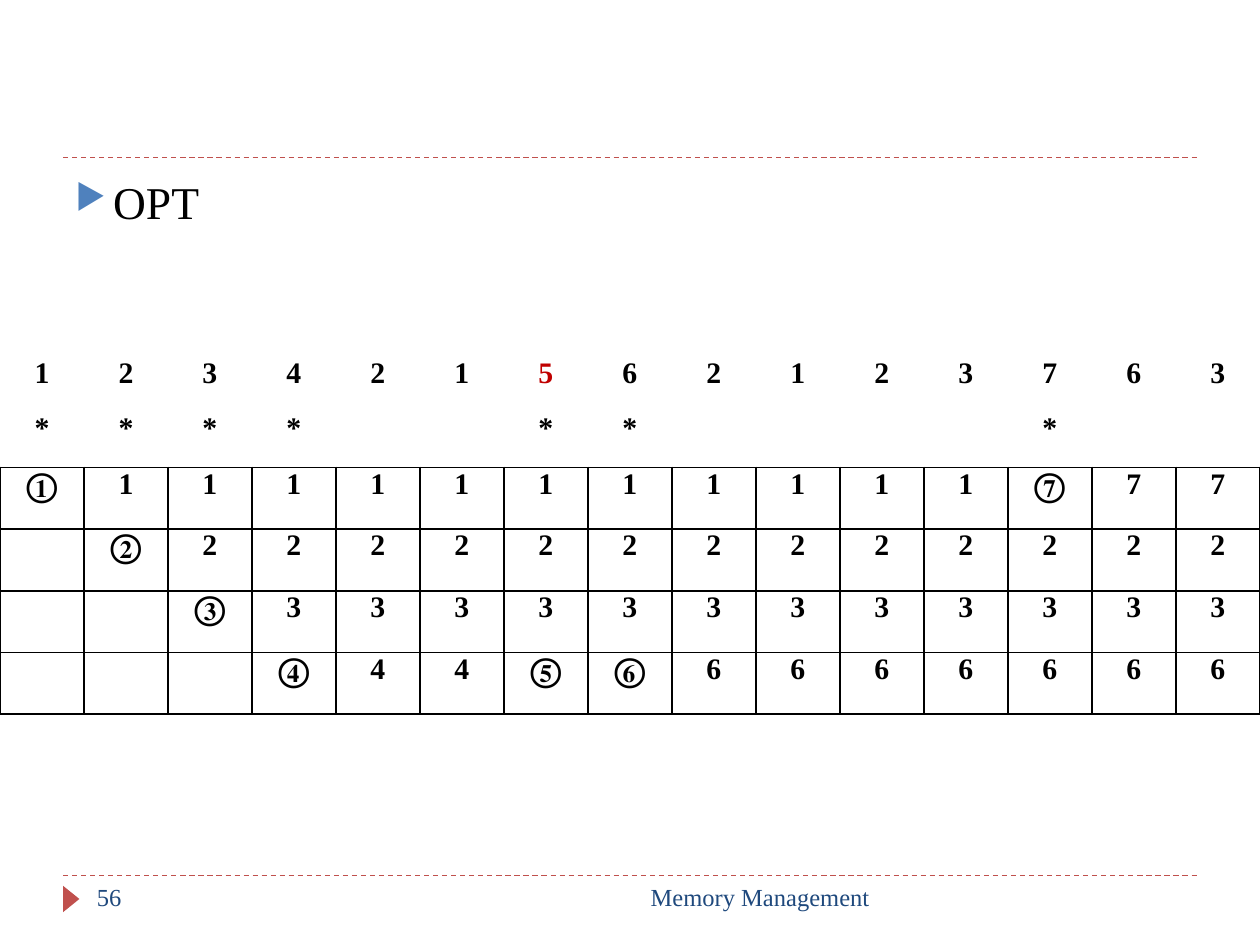
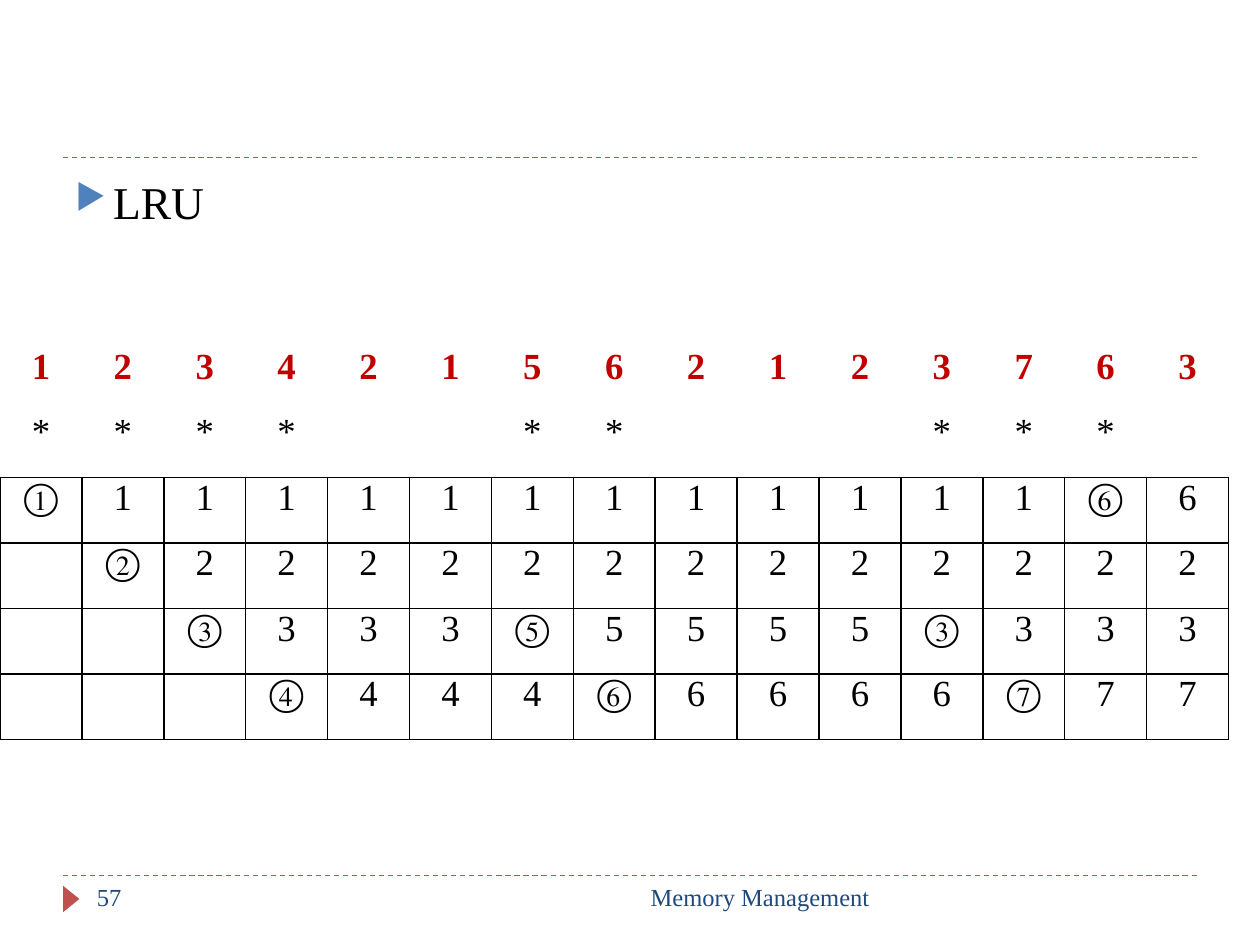
from dataclasses import dataclass

from lxml import etree
from pptx import Presentation
from pptx.dml.color import RGBColor
from pptx.enum.dml import MSO_LINE
from pptx.enum.shapes import MSO_CONNECTOR, MSO_SHAPE
from pptx.enum.text import PP_ALIGN
from pptx.oxml.ns import qn
from pptx.slide import Slide
from pptx.table import _Cell
from pptx.text.text import TextFrame, _Paragraph
from pptx.util import Inches, Pt

DASH = MSO_LINE.DASH
STRAIGHT = MSO_CONNECTOR.STRAIGHT
WEDGE = MSO_SHAPE.ISOSCELES_TRIANGLE
LEFT, CENTER, RIGHT = PP_ALIGN.LEFT, PP_ALIGN.CENTER, PP_ALIGN.RIGHT

BLACK = RGBColor(0x00, 0x00, 0x00)
RED = RGBColor(0xC0, 0x00, 0x00)
BRICK = RGBColor(0xC0, 0x50, 0x4D)
BLUE = RGBColor(0x4F, 0x81, 0xBD)
NAVY = RGBColor(0x1F, 0x49, 0x7D)
FONT = "Times New Roman"
FOOTER = "Memory Management"
PLAIN_STYLE = "{2D5ABB26-0587-4C30-8999-92F81FD0307C}"
HEAD_ROWS = 2
CALLS = "123421562123763"


@dataclass(frozen=True)
class Trace:
    title: str
    page: int
    top: float
    width: float
    heights: tuple[float, ...]
    size: int
    ring_size: int
    bold: bool
    red_calls: frozenset[int]
    faults: str
    frames: tuple[str, ...]


TRACES = (
    Trace(
        title="OPT", page=56, top=2.83, width=10,
        heights=(0.44,) * 2 + (0.49,) * 4,
        size=17, ring_size=19, bold=True, red_calls=frozenset({6}),
        faults="****  **    *  ",
        frames=(
            "①11111111111⑦77",
            " ②2222222222222",
            "  ③333333333333",
            "   ④44⑤⑥6666666",
        ),
    ),
    Trace(
        title="LRU", page=57, top=2.75, width=9.75,
        heights=(0.52,) * 6,
        size=21, ring_size=21, bold=False,
        red_calls=frozenset(range(len(CALLS))),
        faults="****  **   *** ",
        frames=(
            "①111111111111⑥6",
            " ②2222222222222",
            "  ③333⑤5555③333",
            "   ④444⑥6666⑦77",
        ),
    ),
)


def put_text(frame: TextFrame, text: str, *, size: int, color: RGBColor = BLACK,
             bold: bool = False, align: PP_ALIGN = LEFT) -> _Paragraph:
    frame.word_wrap = True
    para = frame.paragraphs[0]
    para.alignment = align
    run = para.add_run()
    run.text = text
    font = run.font
    font.name, font.size, font.bold = FONT, Pt(size), bold
    font.color.rgb = color
    etree.SubElement(run._r.get_or_add_rPr(), qn("a:ea"), typeface=FONT)
    return para


def add_box(slide: Slide, left: float, top: float, width: float,
            height: float) -> TextFrame:
    box = slide.shapes.add_textbox(
        Inches(left), Inches(top), Inches(width), Inches(height))
    return box.text_frame


def add_rule(slide: Slide, top: float) -> None:
    rule = slide.shapes.add_connector(
        STRAIGHT, Inches(0.5), Inches(top), Inches(9.5), Inches(top))
    rule.line.color.rgb = BRICK
    rule.line.width = Pt(0.75)
    rule.line.dash_style = DASH
    etree.SubElement(rule._element.spPr, qn("a:effectLst"))


def add_base(slide: Slide, page: int) -> None:
    for top in (6.95, 1.25):
        add_rule(slide, top)
    wedge = slide.shapes.add_shape(
        WEDGE, Inches(0.46), Inches(7.07), Inches(0.21), Inches(0.13))
    wedge.rotation = 90
    wedge.shadow.inherit = False
    wedge.fill.solid()
    wedge.fill.fore_color.rgb = BRICK
    wedge.line.fill.background()
    put_text(add_box(slide, 3.17, 6.95, 3.83, 0.4), FOOTER,
             size=14, color=NAVY, align=RIGHT)
    put_text(add_box(slide, 0.67, 6.95, 2.17, 0.4), str(page),
             size=14, color=NAVY)


def add_title(slide: Slide, title: str) -> None:
    para = put_text(add_box(slide, 0.5, 1.33, 9, 5.4), title, size=26)
    para.space_before = Pt(6)
    props = para._p.get_or_add_pPr()
    props.set("marL", str(Inches(0.3)))
    props.set("indent", str(-Inches(0.3)))
    tint = etree.SubElement(props, qn("a:buClr"))
    etree.SubElement(tint, qn("a:srgbClr"), val=str(BLUE))
    etree.SubElement(props, qn("a:buSzPct"), val="76000")
    etree.SubElement(props, qn("a:buChar"), char="▶")


def set_edges(cell: _Cell, edges: str) -> None:
    props = cell._tc.get_or_add_tcPr()
    for side in "LRTB":
        line = etree.SubElement(props, qn(f"a:ln{side}"), w=str(Pt(1)))
        if side in edges:
            fill = etree.SubElement(line, qn("a:solidFill"))
            etree.SubElement(fill, qn("a:srgbClr"), val=str(BLACK))
        else:
            etree.SubElement(line, qn("a:noFill"))
    cell.fill.background()


def fill_cell(cell: _Cell, mark: str, row: int, col: int, trace: Trace) -> None:
    cell.margin_left = cell.margin_right = Inches(0.06)
    cell.margin_top = cell.margin_bottom = 0
    set_edges(cell, ("", "B", "LRTB")[min(row, HEAD_ROWS)])
    if mark == " ":
        return
    red = row == 0 and col in trace.red_calls
    put_text(cell.text_frame, mark,
             size=trace.size if mark.isascii() else trace.ring_size,
             color=RED if red else BLACK,
             bold=trace.bold or row == 0, align=CENTER)


def add_trace(slide: Slide, trace: Trace) -> None:
    rows = (CALLS, trace.faults, *trace.frames)
    shape = slide.shapes.add_table(
        len(rows), len(CALLS), 0, Inches(trace.top),
        Inches(trace.width), Inches(sum(trace.heights)))
    table = shape.table
    table.first_row = table.horz_banding = False
    table._tbl.tblPr.find(qn("a:tableStyleId")).text = PLAIN_STYLE
    for column in table.columns:
        column.width = Inches(trace.width / len(CALLS))
    for row, marks in enumerate(rows):
        table.rows[row].height = Inches(trace.heights[row])
        for col, mark in enumerate(marks):
            fill_cell(table.cell(row, col), mark, row, col, trace)


def main() -> None:
    deck = Presentation()
    deck.slide_width, deck.slide_height = Inches(10), Inches(7.5)
    for trace in TRACES:
        slide = deck.slides.add_slide(deck.slide_layouts[6])
        add_base(slide, trace.page)
        add_title(slide, trace.title)
        add_trace(slide, trace)
    deck.save("out.pptx")


if __name__ == "__main__":
    main()
